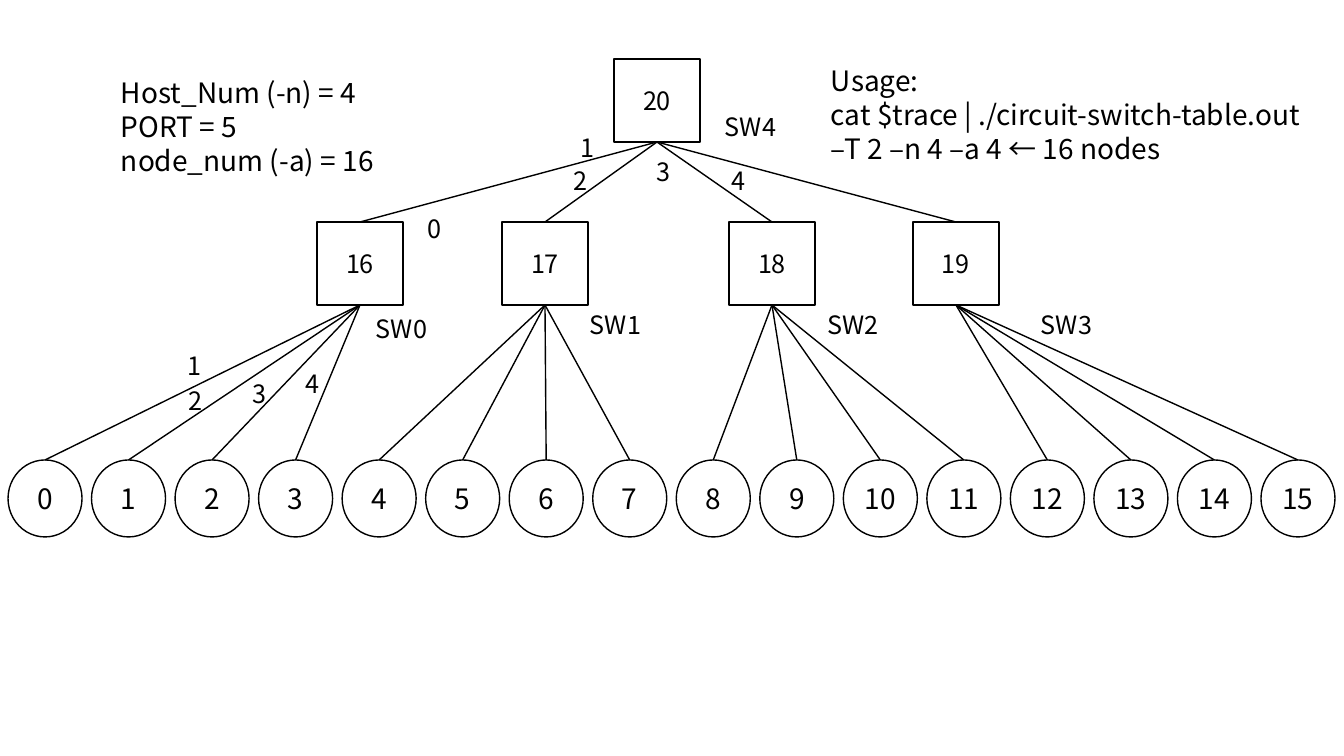
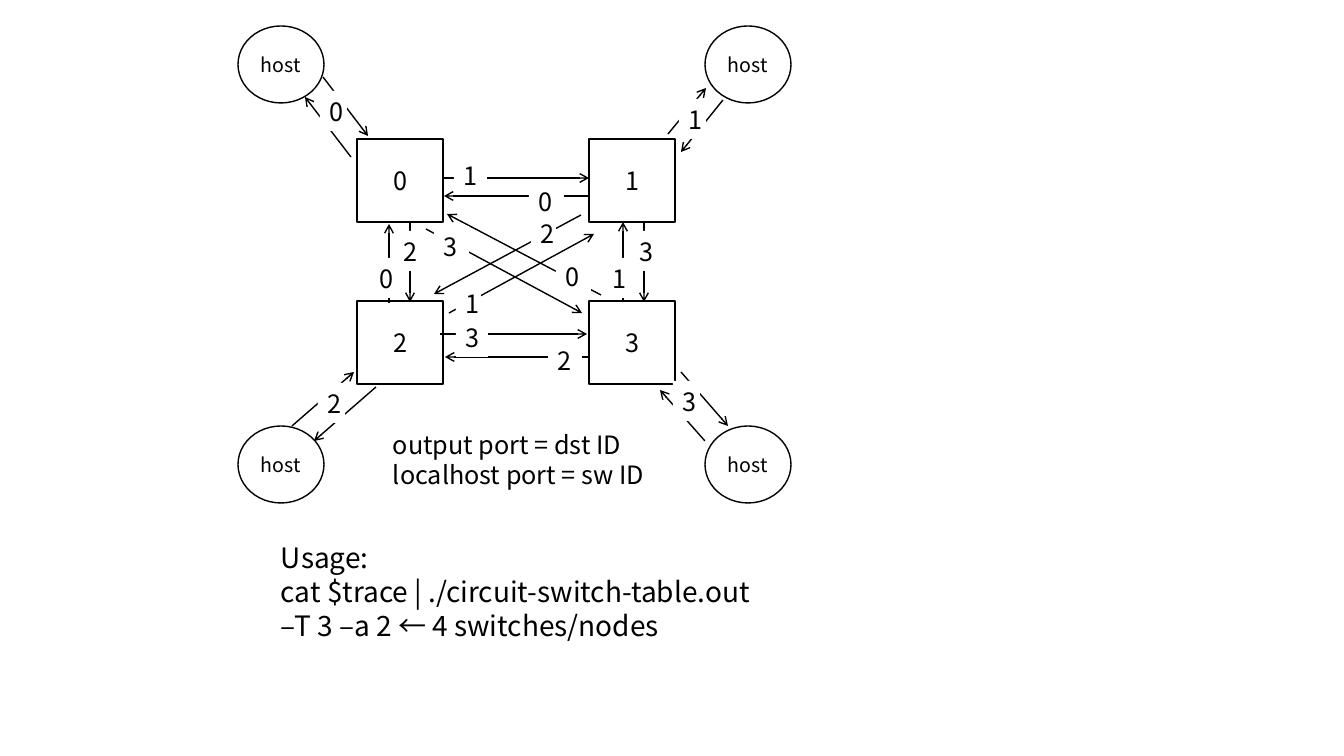
"""Draw a tree of switches and a mesh of switches, one slide each."""
import dataclasses
import typing

import pptx
import pptx.dml.color
import pptx.enum.shapes
import pptx.enum.text
import pptx.oxml
import pptx.oxml.ns
import pptx.util

SCALE = 914400 / 100.8
FONT = "Noto Sans CJK JP"
INK, PAPER = "000000", "FFFFFF"
SQUARE = (86, 83)
LABEL_HEIGHT = 40
RECTANGLE = pptx.enum.shapes.MSO_SHAPE.RECTANGLE
OVAL = pptx.enum.shapes.MSO_SHAPE.OVAL
MIDDLE = {
    "vertical_anchor": pptx.enum.text.MSO_ANCHOR.MIDDLE,
    "margin_left": 0,
    "margin_right": 0,
}


def lengths(*pixels):
    """Turn pixels into EMU."""
    return [pptx.util.Emu(round(pixel * SCALE)) for pixel in pixels]


def color(value):
    """Turn a hex string into a colour."""
    return pptx.dml.color.RGBColor.from_string(value)


def assign(target, values):
    """Set each named attribute of the target."""
    for name, value in values.items():
        setattr(target, name, value)


def add_xml(parent, tag, **attributes):
    """Append one drawing element to the parent."""
    element = pptx.oxml.parse_xml(f"<a:{tag} {pptx.oxml.ns.nsdecls('a')}/>")
    for name, value in attributes.items():
        element.set(name, value)
    parent.append(element)


def write(frame, lines, size, align=None):
    """Fill a text frame with one paragraph for each line."""
    frame.word_wrap = True
    for index, line in enumerate(lines):
        para = frame.paragraphs[0] if index == 0 else frame.add_paragraph()
        para.alignment = align
        span = para.add_run()
        span.text = line
        assign(span.font, {"name": FONT, "size": pptx.util.Pt(size)})
        span.font.color.rgb = color(INK)
        add_xml(span.font._element, "ea", typeface=FONT)


@dataclasses.dataclass
class Region:
    """A part of a page whose contents are placed from its top left corner."""

    page: typing.Any
    left: int
    top: int

    def node(self, kind, at, extent, text, size):
        """Add an outlined shape with centred text."""
        x, y = at
        shape = self.page.shapes.add_shape(
            kind, *lengths(self.left + x, self.top + y, *extent))
        shape.shadow.inherit = False
        shape.fill.background()
        shape.line.color.rgb = color(INK)
        shape.line.width = pptx.util.Pt(1)
        assign(shape.text_frame, MIDDLE)
        write(shape.text_frame, [text], size, pptx.enum.text.PP_ALIGN.CENTER)

    def line(self, start, end, arrow=False):
        """Add a straight line, with an arrowhead at its end if asked."""
        points = [self.left + start[0], self.top + start[1],
                  self.left + end[0], self.top + end[1]]
        connector = self.page.shapes.add_connector(
            pptx.enum.shapes.MSO_CONNECTOR.STRAIGHT, *lengths(*points))
        connector.line.color.rgb = color(INK)
        connector.line.width = pptx.util.Pt(1)
        if arrow:
            add_xml(connector.line._get_or_add_ln(), "tailEnd", type="arrow")
        add_xml(connector._element.spPr, "effectLst")

    def text(self, at, extent, lines, size=18, fill=None):
        """Add a text box, on a plain ground if a fill is given."""
        x, y = at
        box = self.page.shapes.add_textbox(
            *lengths(self.left + x, self.top + y, *extent))
        if fill:
            box.fill.solid()
            box.fill.fore_color.rgb = color(fill)
        write(box.text_frame, lines, size)

    def labels(self, items, fill=None):
        """Add one-line labels given as text, x, y and width."""
        for text, x, y, width in items:
            self.text((x, y), (width, LABEL_HEIGHT), [text], fill=fill)


def draw_tree(region):
    """Draw a root switch, four switches and sixteen hosts."""
    width, height = SQUARE
    root_x, switch_y, host_y = 606, 163, 401
    host_width, host_height = 74, 77
    host_pitch = 1253 / 15
    switch_xs = [309, 494, 721, 905]

    region.node(RECTANGLE, (root_x, 0), SQUARE, "20", 18)
    for index, x in enumerate(switch_xs):
        center = x + width / 2
        region.node(RECTANGLE, (x, switch_y), SQUARE, str(16 + index), 18)
        region.line((root_x + width / 2, height), (center, switch_y))
        for host in range(4 * index, 4 * index + 4):
            host_x = host * host_pitch
            region.node(OVAL, (host_x, host_y), (host_width, host_height),
                        str(host), 20)
            region.line((center, switch_y + height),
                        (host_x + host_width / 2, host_y))

    region.labels([
        ("SW0", 358, 249, 84), ("SW1", 572, 245, 84), ("SW2", 810, 245, 84),
        ("SW3", 1023, 245, 84), ("SW4", 707, 47, 84),
        ("1", 170, 286, 45), ("2", 171, 321, 41),
        ("3", 235, 314, 36), ("4", 288, 304, 45),
        ("1", 563, 68, 40), ("2", 556, 101, 43),
        ("3", 639, 92, 36), ("4", 714, 101, 36),
    ])
    region.labels([("0", 410, 149, 41)], PAPER)


def draw_mesh(region):
    """Draw four linked switches, each with its own host."""
    for index in range(4):
        row, column = divmod(index, 2)
        region.node(RECTANGLE, (119 + 232 * column, 113 + 162 * row),
                    SQUARE, str(index), 18)
        region.node(OVAL, (467 * column, 400 * row), (86, 77), "host", 14)

    switch_arrows = [
        ((206, 152), (351, 152)), ((351, 170), (206, 170)),
        ((202, 308), (349, 308)), ((352, 331), (207, 331)),
        ((151, 277), (151, 198)), ((172, 197), (172, 276)),
        ((385, 275), (385, 196)), ((406, 197), (406, 276)),
        ((343, 189), (196, 268)), ((211, 287), (356, 208)),
        ((363, 269), (209, 188)), ((188, 203), (344, 287)),
    ]
    host_arrows = [
        ((85, 51), (130, 110)), ((113, 131), (67, 71)),
        ((430, 108), (468, 62)), ((485, 74), (443, 126)),
        ((54, 400), (116, 346)), ((138, 361), (76, 415)),
        ((443, 346), (490, 400)), ((467, 415), (422, 364)),
    ]
    for start, end in switch_arrows + host_arrows:
        region.line(start, end, arrow=True)

    region.labels([
        ("1", 216, 129, 33), ("3", 392, 205, 52), ("2", 310, 314, 34),
        ("0", 132, 232, 32), ("1", 365, 232, 31), ("3", 218, 291, 32),
        ("0", 291, 155, 35), ("2", 156, 205, 31), ("0", 318, 230, 35),
        ("3", 196, 200, 35), ("1", 218, 257, 25), ("2", 293, 187, 25),
        ("1", 441, 73, 27), ("3", 435, 355, 27),
        ("2", 80, 357, 27), ("0", 82, 65, 27),
    ], PAPER)


def draw_usage(region, options):
    """Write how the command is called with the given options."""
    command = "cat $trace | ./circuit-switch-table.out"
    region.text((0, 0), (505, 112), ["Usage:", f"{command} {options}"], 20)


def build_deck():
    """Build both slides and save the deck."""
    deck = pptx.Presentation()
    deck.slide_width, deck.slide_height = lengths(1344, 756)
    blank = deck.slide_layouts[6]

    page = deck.slides.add_slide(blank)
    draw_tree(Region(page, 8, 59))
    Region(page, 111, 71).text((0, 0), (316, 112), [
        "Host_Num (-n) = 4", "PORT = 5", "node_num (-a) = 16"], 20)
    draw_usage(Region(page, 821, 59), "–T 2 –n 4 –a 4 ← 16 nodes")

    page = deck.slides.add_slide(blank)
    draw_mesh(Region(page, 238, 26))
    Region(page, 383, 424).text((0, 0), (289, 72), [
        "output port = dst ID", "localhost port = sw ID"])
    draw_usage(Region(page, 271, 536), "–T 3 –a 2 ← 4 switches/nodes")

    deck.save("out.pptx")


build_deck()
